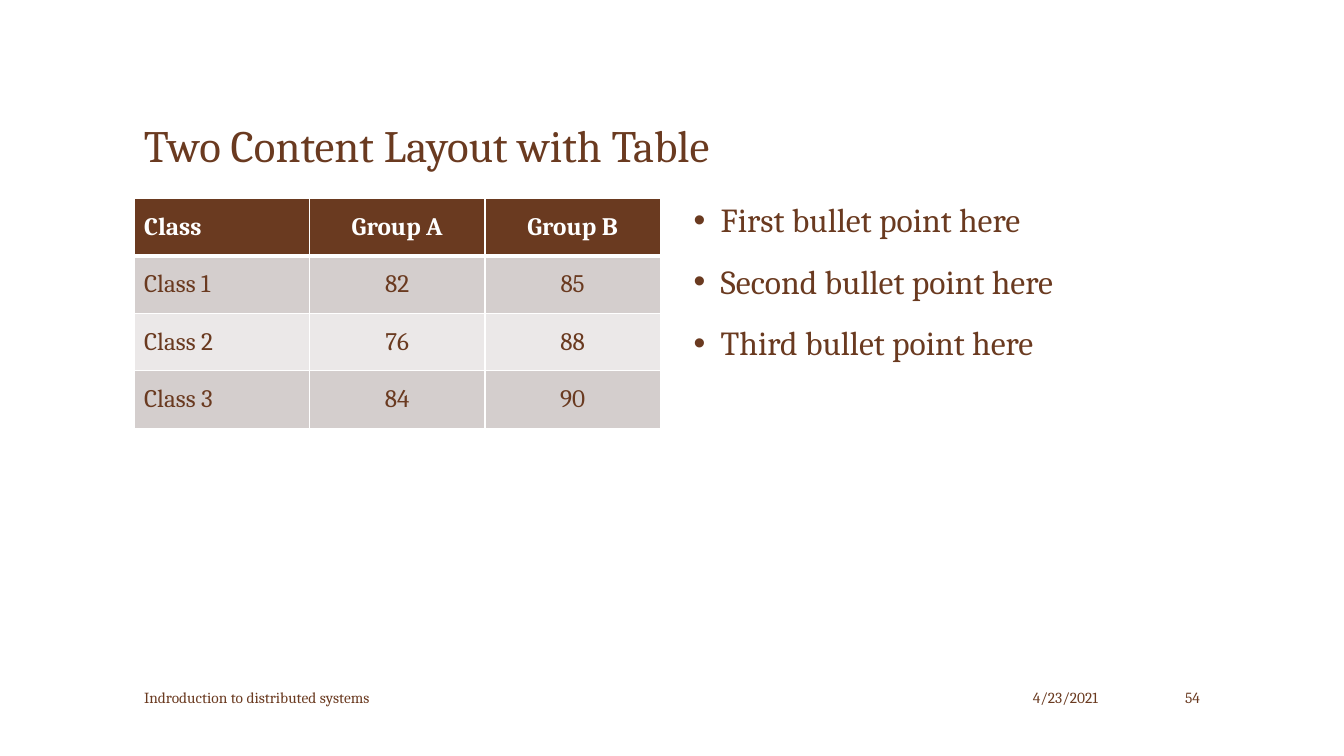
from lxml import etree
from pptx import Presentation
from pptx.dml.color import RGBColor
from pptx.enum.text import MSO_ANCHOR, PP_ALIGN
from pptx.oxml.ns import qn
from pptx.util import Inches, Pt

BROWN = RGBColor(0x6A, 0x3A, 0x20)
WHITE = RGBColor(0xFF, 0xFF, 0xFF)
DARK = RGBColor(0xD4, 0xCE, 0xCD)
LIGHT = RGBColor(0xEB, 0xE8, 0xE8)
FONT = "Cambria"
LEFT, CENTER, RIGHT = PP_ALIGN.LEFT, PP_ALIGN.CENTER, PP_ALIGN.RIGHT
TOP, MIDDLE, BOTTOM = MSO_ANCHOR.TOP, MSO_ANCHOR.MIDDLE, MSO_ANCHOR.BOTTOM

ROWS = [
    ("Class", "Group A", "Group B"),
    ("Class 1", "82", "85"),
    ("Class 2", "76", "88"),
    ("Class 3", "84", "90"),
]
POINTS = [
    "First bullet point here",
    "Second bullet point here",
    "Third bullet point here",
]


def style(para, size, color=BROWN, align=LEFT, bold=False):
    para.alignment = align
    for run in para.runs:
        font = run.font
        font.name, font.size, font.bold = FONT, Pt(size), bold
        font.color.rgb = color


def add_text(slide, box, text, size, anchor=MIDDLE, align=LEFT):
    frame = slide.shapes.add_textbox(*map(Inches, box)).text_frame
    frame.word_wrap = True
    frame.vertical_anchor = anchor
    frame.text = text
    for para in frame.paragraphs:
        style(para, size, align=align)
    return frame


def add_bullets(slide, box, points):
    frame = add_text(slide, box, "\n".join(points), 24, TOP)
    for i, para in enumerate(frame.paragraphs):
        para.line_spacing = 0.9
        para.space_before = Pt(18 if i else 0)
        props = para._p.get_or_add_pPr()
        props.set("marL", str(Inches(0.27)))
        props.set("indent", str(Inches(-0.27)))
        tint = etree.SubElement(props, qn("a:buClr"))
        etree.SubElement(tint, qn("a:srgbClr"), val=str(BROWN))
        etree.SubElement(props, qn("a:buFont"), typeface="Arial")
        etree.SubElement(props, qn("a:buChar"), char="•")


def add_borders(cell, top, bottom):
    props = cell._tc.get_or_add_tcPr()
    for side, width in (("L", 1), ("R", 1), ("T", top), ("B", bottom)):
        line = etree.SubElement(props, qn("a:ln" + side), w=str(Pt(width)))
        fill = etree.SubElement(line, qn("a:solidFill"))
        etree.SubElement(fill, qn("a:srgbClr"), val=str(WHITE))


def add_grid(slide, box, rows):
    shape = slide.shapes.add_table(len(rows), len(rows[0]), *map(Inches, box))
    table = shape.table
    for col in table.columns:
        col.width = Inches(box[2] / len(rows[0]))
    for r, row in enumerate(rows):
        table.rows[r].height = Inches(box[3] / len(rows))
        head = r == 0
        band = BROWN if head else DARK if r % 2 else LIGHT
        for c, text in enumerate(row):
            cell = table.cell(r, c)
            cell.text = text
            cell.vertical_anchor = MIDDLE
            style(cell.text_frame.paragraphs[0], 18, WHITE if head else BROWN,
                  CENTER if c else LEFT, head)
            # The header is set off by a thicker rule
            add_borders(cell, 3 if r == 1 else 1, 3 if head else 1)
            cell.fill.solid()
            cell.fill.fore_color.rgb = band


def main():
    deck = Presentation()
    deck.slide_width, deck.slide_height = Inches(13.33), Inches(7.5)
    slide = deck.slides.add_slide(deck.slide_layouts[6])

    # Title
    add_text(slide, (1.33, 0.47, 10.66, 1.28),
             "Two Content Layout with Table", 32, BOTTOM)

    # Table and bullets side by side
    add_grid(slide, (1.33, 1.97, 5.22, 2.28), ROWS)
    add_bullets(slide, (6.78, 1.97, 5.22, 4.67), POINTS)

    # Footer
    for left, width, text, align in (
        (9.66, 1.33, "4/23/2021", RIGHT),
        (1.33, 8.11, "Indroduction to distributed systems", LEFT),
        (11.22, 0.78, "54", RIGHT),
    ):
        add_text(slide, (left, 6.75, width, 0.33), text, 11, align=align)

    deck.save("out.pptx")


if __name__ == "__main__":
    main()
